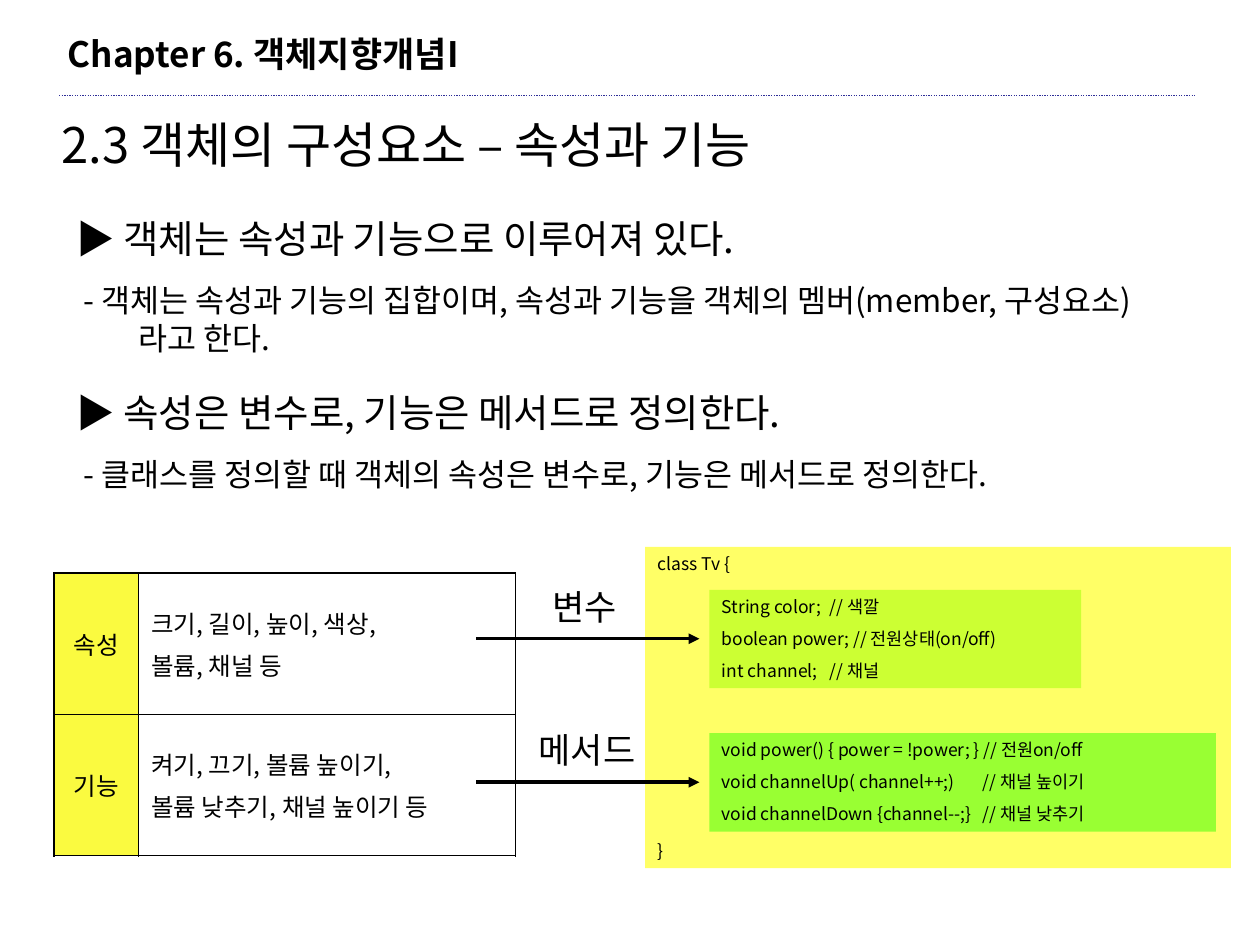
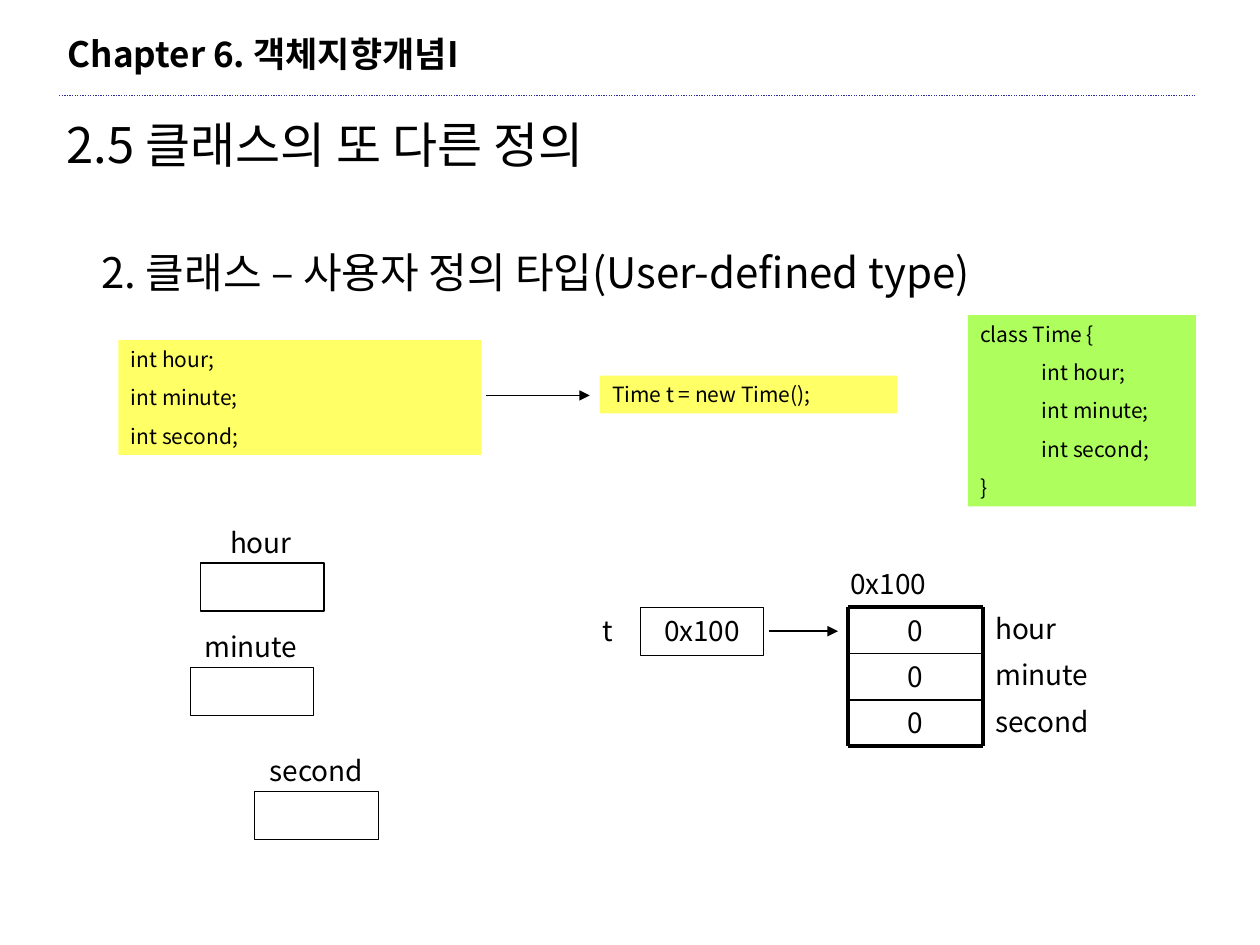
"""Build two Korean lecture slides on object members and user-defined types."""
from lxml.etree import SubElement
from pptx import Presentation
from pptx.dml.color import RGBColor
from pptx.enum.dml import MSO_LINE
from pptx.enum.shapes import MSO_CONNECTOR, MSO_SHAPE
from pptx.enum.text import MSO_ANCHOR, PP_ALIGN as Align
from pptx.oxml.ns import qn
from pptx.util import Pt

FONT = "Noto Sans CJK KR"
BLACK, RULE = "000000", "2F2F98"
YELLOW, LIME, GREEN, MINT, GOLD = "FFFF66", "CCFF33", "99FF33", "AEFF5D", "FAFA40"
rgb = RGBColor.from_string


def write(frame, lines, size, sub_size=None, align=Align.LEFT, bold=False,
          hang=0, tab=0, leading=1.2, gap=0.625):
    frame.word_wrap = True
    for i, line in enumerate(lines):
        paragraph = frame.add_paragraph() if i else frame.paragraphs[0]
        points = sub_size if i and sub_size else size
        paragraph.text = line
        paragraph.alignment = align
        paragraph.line_spacing = Pt(points * leading)
        paragraph.space_before = Pt(points * gap if i else 0)
        font = paragraph.font
        font.name, font.size, font.bold = FONT, Pt(points), bold
        font.color.rgb = rgb(BLACK)
        props = paragraph._p.get_or_add_pPr()
        defaults = props.find(qn("a:defRPr"))
        SubElement(defaults, qn("a:ea"), typeface=FONT)
        if hang:
            props.set("marL", str(Pt(hang)))
            props.set("indent", str(Pt(-hang)))
        if tab:
            stops = SubElement(props, qn("a:tabLst"))
            SubElement(stops, qn("a:tab"), pos=str(Pt(tab)), algn="l")
            defaults.addprevious(stops)


def draw_line(slide, x1, y1, x2, y2, width, color=BLACK, arrow=False):
    line = slide.shapes.add_connector(
        MSO_CONNECTOR.STRAIGHT, Pt(x1), Pt(y1), Pt(x2), Pt(y2))
    line.line.width = Pt(width)
    line.line.color.rgb = rgb(color)
    if arrow:
        SubElement(line.line._get_or_add_ln(), qn("a:tailEnd"), type="triangle")
    SubElement(line._element.spPr, qn("a:effectLst"))
    return line


deck = Presentation()
deck.slide_width, deck.slide_height = Pt(720), Pt(540)
members, user_type = [deck.slides.add_slide(deck.slide_layouts[6]) for _ in range(2)]

for slide, left, heading in [
    (members, 28, "2.3 객체의 구성요소 – 속성과 기능"),
    (user_type, 31, "2.5 클래스의 또 다른 정의"),
]:
    draw_line(slide, 33.8, 54.7, 683.3, 54.7, 0.75, RULE).line.dash_style = MSO_LINE.ROUND_DOT
    chapter = slide.shapes.add_textbox(Pt(31.7), Pt(15), Pt(300), Pt(31.7))
    write(chapter.text_frame, ["Chapter 6. 객체지향개념I"], 20, bold=True)
    title = slide.shapes.add_textbox(Pt(left), Pt(62), Pt(612), Pt(41))
    write(title.text_frame, [heading], 28)

for top, height, points in [
    (119.5, 88.6, ["▶ 객체는 속성과 기능으로 이루어져 있다.",
                   " - 객체는 속성과 기능의 집합이며, 속성과 기능을 객체의 멤버(member, 구성요소)라고 한다."]),
    (219, 67, ["▶ 속성은 변수로, 기능은 메서드로 정의한다.",
               " - 클래스를 정의할 때 객체의 속성은 변수로, 기능은 메서드로 정의한다."]),
]:
    body = members.shapes.add_textbox(Pt(36.7), Pt(top), Pt(646), Pt(height))
    write(body.text_frame, points, 22, sub_size=18, hang=35.3)

topic = user_type.shapes.add_textbox(Pt(51), Pt(137.5), Pt(612), Pt(36))
write(topic.text_frame, ["2. 클래스 – 사용자 정의 타입(User-defined type)"], 24)

for slide, left, top, width, height, fill, size, tab, code in [
    (members, 368.6, 312.5, 334.8, 183.6, YELLOW, 10, 0, ["class Tv {", "}"]),
    (members, 405.4, 337, 212.4, 56.2, LIME, 10, 61.5,
     ["String color;\t// 색깔", "boolean power; // 전원상태(on/off)", "int channel;\t// 채널"]),
    (members, 405.4, 419, 289.4, 56.2, GREEN, 10, 149,
     ["void power() { power = !power; } // 전원on/off",
      "void channelUp( channel++;)\t// 채널 높이기",
      "void channelDown {channel--;}\t// 채널 낮추기"]),
    (user_type, 553, 180, 130.3, 109.4, MINT, 12, 35.3,
     ["class Time {", "\tint hour;", "\tint minute;", "\tint second;", "}"]),
    (user_type, 67.7, 194.4, 207.4, 65.5, YELLOW, 12, 0,
     ["int hour;", "int minute;", "int second;"]),
    (user_type, 342.7, 214.6, 170, 21.6, YELLOW, 12, 0, ["Time t = new Time();"]),
]:
    listing = slide.shapes.add_shape(
        MSO_SHAPE.RECTANGLE, Pt(left), Pt(top), Pt(width), Pt(height))
    listing.shadow.inherit = False
    listing.fill.solid()
    listing.fill.fore_color.rgb = rgb(fill)
    listing.line.fill.background()
    listing.text_frame.vertical_anchor = MSO_ANCHOR.TOP
    write(listing.text_frame, code, size, tab=tab)
    if code[0] == "class Tv {":
        listing.text_frame.paragraphs[-1].space_before = Pt(152)

parts = members.shapes.add_table(2, 2, Pt(31), Pt(327.6), Pt(263.5), Pt(161.4)).table
parts.first_row = parts.horz_banding = False
parts.columns[0].width, parts.columns[1].width = Pt(48.2), Pt(215.3)
for row, (kind, examples) in enumerate([
    ("속성", ["크기, 길이, 높이, 색상,", "볼륨, 채널 등"]),
    ("기능", ["켜기, 끄기, 볼륨 높이기,", "볼륨 낮추기, 채널 높이기 등"]),
]):
    for column, lines in enumerate([[kind], examples]):
        cell = parts.cell(row, column)
        cell.vertical_anchor = MSO_ANCHOR.MIDDLE
        write(cell.text_frame, lines, 14, leading=1.45, gap=0.25,
              align=Align.LEFT if column else Align.CENTER)
        props = cell._tc.get_or_add_tcPr()
        for side, outer in [("L", column == 0), ("R", column == 1),
                            ("T", row == 0), ("B", row == 1)]:
            border = SubElement(props, qn(f"a:ln{side}"), w=str(Pt(1.08 if outer else 0.45)))
            SubElement(SubElement(border, qn("a:solidFill")), qn("a:srgbClr"), val=BLACK)
        if column == 0:
            cell.fill.solid()
            cell.fill.fore_color.rgb = rgb(GOLD)
        else:
            cell.fill.background()

for y, left, width, role in [(365, 303, 62.6, "변수"), (447, 291.6, 87.8, "메서드")]:
    draw_line(members, 272.2, y, 399.6, y, 2, arrow=True)
    label = members.shapes.add_textbox(Pt(left), Pt(y - 34), Pt(width), Pt(31.7))
    write(label.text_frame, [role], 20, align=Align.CENTER)

for left, top, value in [(114.5, 321.8, ""), (108.7, 381.6, ""),
                         (145.5, 452.2, ""), (365.8, 347, "0x100")]:
    variable = user_type.shapes.add_shape(
        MSO_SHAPE.RECTANGLE, Pt(left), Pt(top), Pt(70.6), Pt(27.4))
    variable.shadow.inherit = False
    variable.fill.background()
    variable.line.color.rgb = rgb(BLACK)
    variable.line.width = Pt(0.75)
    if value:
        variable.text_frame.vertical_anchor = MSO_ANCHOR.TOP
        write(variable.text_frame, [value], 16, align=Align.CENTER)

MEMORY_LEFT, MEMORY_RIGHT, MEMORY_TOP, ROW = 484.6, 561.6, 347, 26.4
memory_bottom = MEMORY_TOP + 3 * ROW
labels = [
    (111.6, 296.6, 75, "hour", Align.CENTER),
    (105.8, 356.4, 75, "minute", Align.CENTER),
    (143.3, 427, 75, "second", Align.CENTER),
    (337, 347, 40, "t", Align.LEFT),
    (478.8, 320.4, 73.4, "0x100", Align.LEFT),
]
for i, field in enumerate(["hour", "minute", "second"]):
    top = MEMORY_TOP + i * ROW
    labels.append((MEMORY_LEFT, top, MEMORY_RIGHT - MEMORY_LEFT, "0", Align.CENTER))
    labels.append((MEMORY_RIGHT, top - 1, 90, field, Align.LEFT))
for left, top, width, name, align in labels:
    label = user_type.shapes.add_textbox(Pt(left), Pt(top), Pt(width), Pt(26.6))
    write(label.text_frame, [name], 16, align=align)

for i, width in enumerate([2.25, 1, 1, 2.25]):
    y = MEMORY_TOP + i * ROW
    draw_line(user_type, MEMORY_LEFT, y, MEMORY_RIGHT, y, width)
for x in (MEMORY_LEFT, MEMORY_RIGHT):
    draw_line(user_type, x, MEMORY_TOP, x, memory_bottom, 2.25)
for x1, x2, y in [(278, 337, 226), (439.2, 478.8, 360.7)]:
    draw_line(user_type, x1, y, x2, y, 1, arrow=True)

deck.save("out.pptx")
